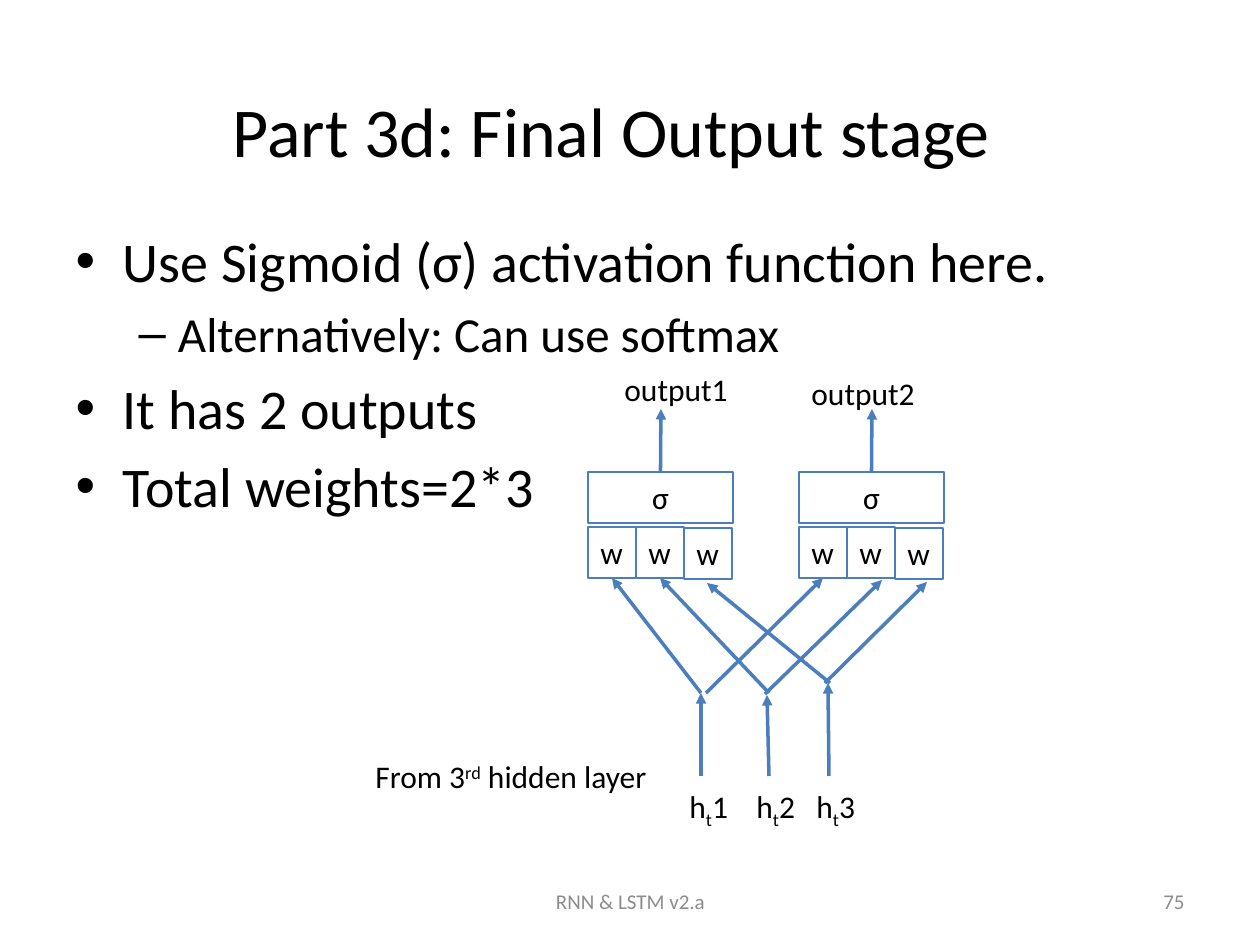
from pptx import Presentation
from pptx import util as u
from pptx.dml import color
from pptx.enum import shapes, text
from pptx.oxml import ns
from lxml import etree

BLACK = color.RGBColor(0x00, 0x00, 0x00)
GRAY = color.RGBColor(0x8C, 0x8C, 0x8C)
BLUE = color.RGBColor(0x4B, 0x7E, 0xBC)
FONT = "Calibri"
LEFT, CENTER, RIGHT = text.PP_ALIGN.LEFT, text.PP_ALIGN.CENTER, text.PP_ALIGN.RIGHT
TOP, MIDDLE = text.MSO_ANCHOR.TOP, text.MSO_ANCHOR.MIDDLE
SUB, SUP = -25000, 30000


def px(n):
    return u.Emu(round(n * 914400 / 126))


def place(sp, x, y, w, h):
    sp.left, sp.top, sp.width, sp.height = px(x), px(y), px(w), px(h)


def write(p, *parts, size=18, fill=BLACK, align=None, level=0):
    p.alignment = align
    p.level = level
    for part in parts:
        words, baseline = part if isinstance(part, tuple) else (part, 0)
        r = p.add_run()
        r.text = words
        r.font.name = FONT
        r.font.size = u.Pt(size)
        r.font.color.rgb = fill
        if baseline:
            r.font._element.set("baseline", str(baseline))


def add_label(s, x, y, w, h, *parts, wrap=False, anchor=TOP, **fmt):
    tf = s.shapes.add_textbox(px(x), px(y), px(w), px(h)).text_frame
    tf.word_wrap = wrap
    tf.vertical_anchor = anchor
    write(tf.paragraphs[0], *parts, **fmt)
    return tf.paragraphs[0]


def add_tabs(p, *stops):
    tabs = etree.SubElement(p._p.get_or_add_pPr(), ns.qn("a:tabLst"))
    for stop in stops:
        etree.SubElement(tabs, ns.qn("a:tab"), pos=str(px(stop)), algn="l")


def add_cell(s, x, y, w, h, label, align, wrap):
    sp = s.shapes.add_shape(shapes.MSO_SHAPE.RECTANGLE, px(x), px(y), px(w), px(h))
    sp.shadow.inherit = False
    sp.fill.background()
    sp.line.color.rgb = BLUE
    sp.line.width = u.Pt(1.5)
    tf = sp.text_frame
    tf.word_wrap = wrap
    tf.vertical_anchor = TOP
    write(tf.paragraphs[0], label, align=align)
    return sp


def add_arrow(s, x1, y1, x2, y2):
    c = s.shapes.add_connector(shapes.MSO_CONNECTOR.STRAIGHT, px(x1), px(y1), px(x2), px(y2))
    c.line.color.rgb = BLUE
    c.line.width = u.Pt(2)
    etree.SubElement(c.line._get_or_add_ln(), ns.qn("a:tailEnd"), type="triangle")
    etree.SubElement(c._element.spPr, ns.qn("a:effectLst"))
    return c


def add_neuron(s, x, y, label, label_x, label_y):
    add_label(s, label_x, label_y, 130, 50, label)
    sigma = add_cell(s, x, y, 145, 51, "σ", CENTER, True)
    weights = [add_cell(s, x + 48 * i, y + 55 + i // 2, 48, 51, "w", LEFT, False)
               for i in range(3)]
    add_arrow(s, x + 72, y, x + 73, y - 63).begin_connect(sigma, 0)
    return weights


def add_network(s, x, y):
    left = add_neuron(s, x, y + 108, "output1", x + 24, y)
    right = add_neuron(s, x + 211, y + 108, "output2", x + 211, y + 4)
    links = [
        (113, 329, 24, 214, left[0]),
        (181, 329, 72, 214, left[1]),
        (242, 319, 119, 219, None),
        (118, 329, 235, 214, right[0]),
        (177, 330, 294, 216, None),
        (237, 319, 339, 218, None),
    ]
    for x1, y1, x2, y2, weight in links:
        c = add_arrow(s, x + x1, y + y1, x + x2, y + y2)
        if weight is not None:
            c.end_connect(weight, 2)
    for x1, x2, y2 in [(113, 113, 329), (181, 179, 331), (241, 240, 319)]:
        add_arrow(s, x + x1, y + 412, x + x2, y + y2)
    add_label(s, x - 225, y + 387, 302, 50, "From 3", ("rd", SUP), " hidden layer")
    p = add_label(s, x + 89, y + 417, 195, 50,
                  "h", ("t", SUB), "1\th", ("t", SUB), "2\th", ("t", SUB), "3")
    add_tabs(p, 67, 127)


def add_title(s, x, y, w, h):
    sp = s.shapes.title
    place(sp, x, y, w, h)
    sp.text_frame.vertical_anchor = MIDDLE
    write(sp.text_frame.paragraphs[0], "Part 3d: Final Output stage", size=40, align=CENTER)


def add_body(s, x, y, w, h):
    sp = s.placeholders[1]
    place(sp, x, y, w, h)
    tf = sp.text_frame
    lines = [
        ("Use Sigmoid (σ) activation function here.", 0),
        ("Alternatively: Can use softmax", 1),
        ("It has 2 outputs", 0),
        ("Total weights=2*3", 0),
    ]
    for i, (line, level) in enumerate(lines):
        p = tf.add_paragraph() if i else tf.paragraphs[0]
        write(p, line, size=28 if level else 32, level=level)


def add_footer(s, x, y, w, h):
    fmt = dict(size=12, fill=GRAY, wrap=True, anchor=MIDDLE)
    add_label(s, x, y, 399, h, "RNN & LSTM v2.a", align=CENTER, **fmt)
    add_label(s, x + w - 294, y, 294, h, "75", align=RIGHT, **fmt)


def main():
    prs = Presentation()
    prs.slide_width, prs.slide_height = px(1260), px(945)
    s = prs.slides.add_slide(prs.slide_layouts[1])
    add_title(s, 137, 100, 949, 60)
    add_body(s, 63, 220, 1134, 624)
    add_network(s, 588, 364)
    add_footer(s, 431, 876, 766, 50)
    prs.save("out.pptx")


if __name__ == "__main__":
    main()
